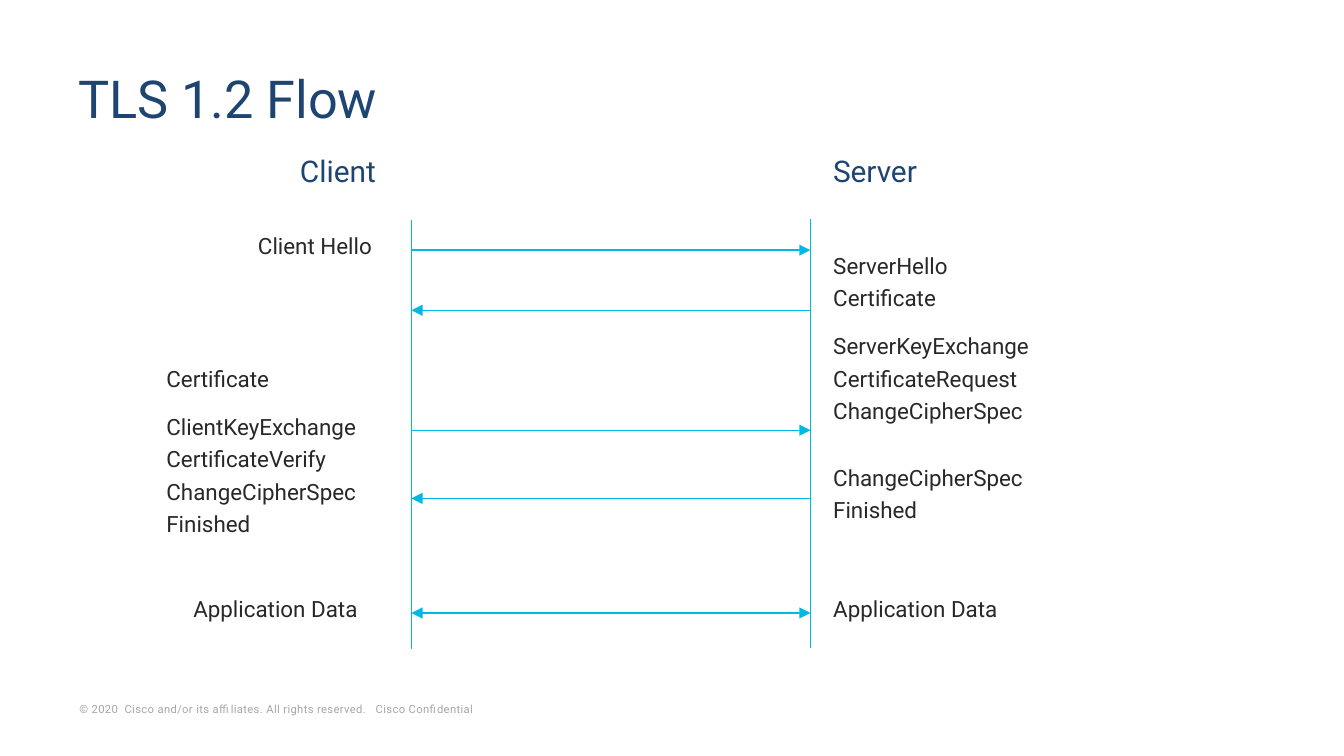
"""Build the TLS 1.2 flow slide, a message sequence between client and server."""
import pptx
import pptx.dml.color
import pptx.enum.shapes
import pptx.enum.text
import pptx.oxml.ns
import pptx.util
from lxml import etree

Pt = pptx.util.Pt
RGB = pptx.dml.color.RGBColor
ALIGN = pptx.enum.text.PP_ALIGN
ANCHOR = pptx.enum.text.MSO_ANCHOR
qn = pptx.oxml.ns.qn

NAVY = RGB(0x1E, 0x44, 0x71)
INK = RGB(0x28, 0x28, 0x28)
GREY = RGB(0xA6, 0xA6, 0xA6)
CYAN = RGB(0x00, 0xB8, 0xE6)
FONT = "Roboto"

TITLE = "TLS 1.2 Flow"
NOTICE = "© 2020  Cisco and/or its affiliates. All rights reserved.   Cisco Confidential"
HEADS = [("Client", (148.3, 84.2, 64.8, 20.2)), ("Server", (419.8, 84.2, 97.2, 20.2))]
LABELS = [
    ([["Client Hello"]], (133.2, 126, 79.9, 15.8)),
    ([["ServerHello", "Certificate"],
      ["ServerKeyExchange", "CertificateRequest", "ChangeCipherSpec"]],
     (441.4, 141.8, 132.5, 83.5)),
    ([["Certificate"],
      ["ClientKeyExchange", "CertificateVerify", "ChangeCipherSpec", "Finished"]],
     (84.2, 202.3, 132.5, 83.5)),
    ([["ChangeCipherSpec", "Finished"]], (441.4, 249.8, 132.5, 33.8)),
    ([["Application Data"]], (98.6, 320.4, 103, 15.8)),
    ([["Application Data"]], (441.4, 320.4, 103, 15.8)),
]
CLIENT, SERVER = 220.4, 434.2
LIVES = [(CLIENT, 118.1), (SERVER, 117.4)]
SPAN = 229.7
FLOWS = [
    (CLIENT, SERVER, 134, ["tailEnd"]),
    (SERVER, CLIENT, 166.2, ["tailEnd"]),
    (CLIENT, SERVER, 230.5, ["tailEnd"]),
    (SERVER, CLIENT, 267, ["tailEnd"]),
    (CLIENT, SERVER, 328.4, ["headEnd", "tailEnd"]),
]
GAP, BREAK = 4.5, 12.7


def write(para, text, size, color):
    run = para.add_run()
    run.text = text
    run.font.name = FONT
    run.font.size = Pt(size)
    run.font.color.rgb = color
    return run


def setup(frame, anchor, pads):
    frame.word_wrap = True
    frame.auto_size = pptx.enum.text.MSO_AUTO_SIZE.NONE
    frame.vertical_anchor = anchor
    (frame.margin_left, frame.margin_top,
     frame.margin_right, frame.margin_bottom) = map(Pt, pads)


def label(slide, groups, box, size, color, align=ALIGN.LEFT):
    frame = slide.shapes.add_textbox(*map(Pt, box)).text_frame
    setup(frame, ANCHOR.MIDDLE, (5, 0, 4.3, 2.9))
    for g, group in enumerate(groups):
        for i, text in enumerate(group):
            first = g == i == 0
            para = frame.paragraphs[0] if first else frame.add_paragraph()
            para.alignment = align
            para.line_spacing = 0.9
            para.space_before = Pt(0 if first else GAP if i else BREAK)
            write(para, text, size, color)


def line(slide, x1, y1, x2, y2, ends=()):
    kind = pptx.enum.shapes.MSO_CONNECTOR.STRAIGHT
    link = slide.shapes.add_connector(kind, Pt(x1), Pt(y1), Pt(x2), Pt(y2))
    link.line.color.rgb = CYAN
    link.line.width = Pt(0.75)
    stroke = link.line._get_or_add_ln()
    for end in ends:
        etree.SubElement(stroke, qn("a:" + end), type="triangle")
    etree.SubElement(link._element.spPr, qn("a:effectLst"))


def main():
    deck = pptx.Presentation()
    deck.slide_width, deck.slide_height = Pt(720), Pt(405)
    slide = deck.slides.add_slide(deck.slide_layouts[5])

    title = slide.shapes.title
    title.left, title.top, title.width, title.height = map(Pt, (34.6, 26.6, 657.4, 57.6))
    setup(title.text_frame, ANCHOR.MIDDLE, (7.2, 3.6, 7.2, 3.6))
    para = title.text_frame.paragraphs[0]
    para.alignment = ALIGN.LEFT
    para.line_spacing = 0.8
    write(para, TITLE, 28, NAVY)

    foot = slide.shapes.add_textbox(*map(Pt, (37.5, 373.7, 267.8, 12.2))).text_frame
    setup(foot, ANCHOR.BOTTOM, (5, 2.2, 5, 2.2))
    run = write(foot.paragraphs[0], NOTICE, 6, GREY)
    run._r.get_or_add_rPr().set("spc", "20")

    for text, box in HEADS:
        label(slide, [[text]], box, 16, NAVY, ALIGN.CENTER)
    for groups, box in LABELS:
        label(slide, groups, box, 12, INK)
    for x, top in LIVES:
        line(slide, x, top, x, top + SPAN)
    for start, stop, y, ends in FLOWS:
        line(slide, start, y, stop, y, ends)

    deck.save("out.pptx")


if __name__ == "__main__":
    main()
